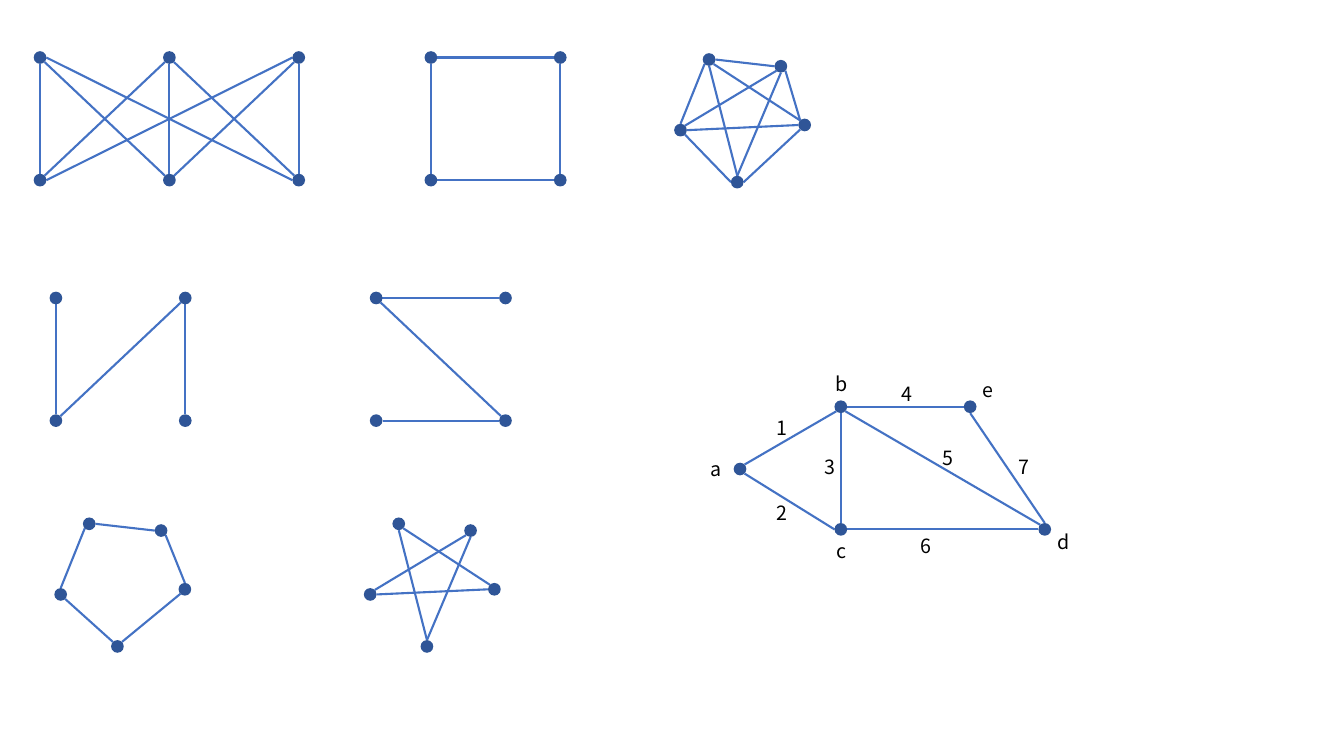
from dataclasses import dataclass
from math import cos, pi, sin

from lxml import etree
from pptx import Presentation
from pptx.dml.color import RGBColor
from pptx.enum.shapes import MSO_CONNECTOR, MSO_SHAPE
from pptx.enum.text import MSO_AUTO_SIZE
from pptx.oxml.ns import qn
from pptx.shapes.shapetree import GroupShapes
from pptx.util import Cm, Pt

STRAIGHT = MSO_CONNECTOR.STRAIGHT
ELLIPSE = MSO_SHAPE.OVAL
GROW = MSO_AUTO_SIZE.SHAPE_TO_FIT_TEXT

FONT = "Noto Sans CJK SC"
NODE_COLOR = "2F5597"
EDGE_COLOR = "4472C4"
TEXT_COLOR = "000000"
DIAMETER = 0.32
SIDE_X = 3.26
SIDE_Y = 3.09

Point = tuple[float, float]
COMPASS = ("E", "SE", "S", "SW", "W", "NW", "N", "NE")
SITES: dict[str, Point] = {
    name: (cos(index * pi / 4), sin(index * pi / 4))
    for index, name in enumerate(COMPASS)
}
SITES["C"] = (0, 0)


@dataclass(frozen=True)
class Label:
    text: str
    left: float
    top: float


@dataclass(frozen=True)
class Graph:
    nodes: dict[str, Point]
    edges: tuple[str, ...]
    labels: tuple[Label, ...] = ()


def grid_nodes(left: float, top: float, columns: int) -> dict[str, Point]:
    return {
        f"{row}{column}": (left + column * SIDE_X, top + row_index * SIDE_Y)
        for row_index, row in enumerate("tb")
        for column in range(columns)
    }


def pentagon_nodes(left: float, top: float) -> dict[str, Point]:
    offsets = ((0, 0), (1.81, 0.17), (2.41, 1.65), (0.71, 3.09), (-0.72, 1.78))
    return {f"p{index}": (left + x, top + y) for index, (x, y) in enumerate(offsets)}


STAR_EDGES = ("p0 S p3 N", "p0 SE p2 NW", "p4 NE p1 SW", "p4 E p2 W", "p3 N p1 S")

BIPARTITE = Graph(
    grid_nodes(1.01, 1.45, 3),
    ("t0 S b0 N", "t1 S b1 N", "t2 S b2 N", "b0 NE t1 SW", "t0 SE b1 NW",
     "b0 E t2 W", "b2 W t0 E", "t1 SE b2 NW", "b1 C t2 SW"),
)
SQUARE = Graph(
    grid_nodes(10.86, 1.45, 2),
    ("t0 S b0 N", "t1 S b1 N", "t0 C t1 W", "b0 E b1 W"),
)
COMPLETE = Graph(
    pentagon_nodes(17.87, 1.5),
    STAR_EDGES + ("p3 E p2 SW", "p4 SE p3 W", "p4 N p0 SW", "p0 E p1 W", "p1 SE p2 NW"),
)
PATH = Graph(
    grid_nodes(1.41, 7.51, 2),
    ("t0 S b0 N", "t1 S b1 N", "t1 SW b0 NE"),
)
PATH_COMPLEMENT = Graph(
    grid_nodes(9.48, 7.51, 2),
    ("t0 C t1 W", "b0 E b1 W", "t0 SE b1 NW"),
)
CYCLE = Graph(
    pentagon_nodes(2.25, 13.2),
    ("p3 NE p2 SW", "p4 SE p3 NW", "p4 N p0 SW", "p0 E p1 W", "p1 SE p2 N"),
)
STAR = Graph(pentagon_nodes(10.05, 13.2), STAR_EDGES)
NUMBERED = Graph(
    {"a": (18.65, 11.82), "b": (21.19, 10.25), "c": (21.19, 13.34),
     "d": (26.33, 13.34), "e": (24.45, 10.25)},
    ("a NE b SW", "a SE c W", "b S c N", "b C e W", "b SE d NW", "c E d W", "e S d N"),
    (Label("a", 17.65, 11.38), Label("b", 20.8, 9.25), Label("c", 20.83, 13.46),
     Label("d", 26.39, 13.23), Label("e", 24.51, 9.4), Label("1", 19.33, 10.36),
     Label("2", 19.33, 12.5), Label("3", 20.52, 11.35), Label("4", 22.48, 9.5),
     Label("5", 23.5, 11.1), Label("6", 22.96, 13.34), Label("7", 25.43, 11.35)),
)
GROUPS = (
    (BIPARTITE, SQUARE, COMPLETE),
    (PATH, PATH_COMPLEMENT),
    (CYCLE, STAR),
    (NUMBERED,),
)


def color(value: str) -> RGBColor:
    return RGBColor.from_string(value)


def site_point(center: Point, site: str) -> Point:
    x, y = SITES[site]
    return center[0] + x * DIAMETER / 2, center[1] + y * DIAMETER / 2


def draw_edge(shapes: GroupShapes, nodes: dict[str, Point], edge: str) -> None:
    start, start_site, end, end_site = edge.split()
    start_x, start_y = site_point(nodes[start], start_site)
    end_x, end_y = site_point(nodes[end], end_site)
    connector = shapes.add_connector(
        STRAIGHT, Cm(start_x), Cm(start_y), Cm(end_x), Cm(end_y)
    )
    connector.line.color.rgb = color(EDGE_COLOR)
    connector.line.width = Pt(1.5)
    etree.SubElement(connector._element.spPr, qn("a:effectLst"))


def draw_node(shapes: GroupShapes, center: Point) -> None:
    x, y = center
    shape = shapes.add_shape(
        ELLIPSE, Cm(x - DIAMETER / 2), Cm(y - DIAMETER / 2), Cm(DIAMETER), Cm(DIAMETER)
    )
    shape.shadow.inherit = False
    shape.fill.solid()
    shape.fill.fore_color.rgb = color(NODE_COLOR)
    shape.line.fill.background()


def draw_label(shapes: GroupShapes, label: Label) -> None:
    shape = shapes.add_textbox(Cm(label.left), Cm(label.top), Cm(0.8), Cm(0.86))
    text_frame = shape.text_frame
    text_frame.text = label.text
    text_frame.word_wrap = False
    text_frame.auto_size = GROW
    font = text_frame.paragraphs[0].runs[0].font
    font.name = FONT
    font.size = Pt(14)
    font.color.rgb = color(TEXT_COLOR)


def draw_graph(shapes: GroupShapes, graph: Graph) -> None:
    for edge in graph.edges:
        draw_edge(shapes, graph.nodes, edge)
    for center in graph.nodes.values():
        draw_node(shapes, center)
    for label in graph.labels:
        draw_label(shapes, label)


def main() -> None:
    presentation = Presentation()
    presentation.slide_width = Cm(33.87)
    presentation.slide_height = Cm(19.05)
    slide = presentation.slides.add_slide(presentation.slide_layouts[6])
    for graphs in GROUPS:
        group = slide.shapes.add_group_shape()
        for graph in graphs:
            draw_graph(group.shapes, graph)
    presentation.save("out.pptx")


if __name__ == "__main__":
    main()
